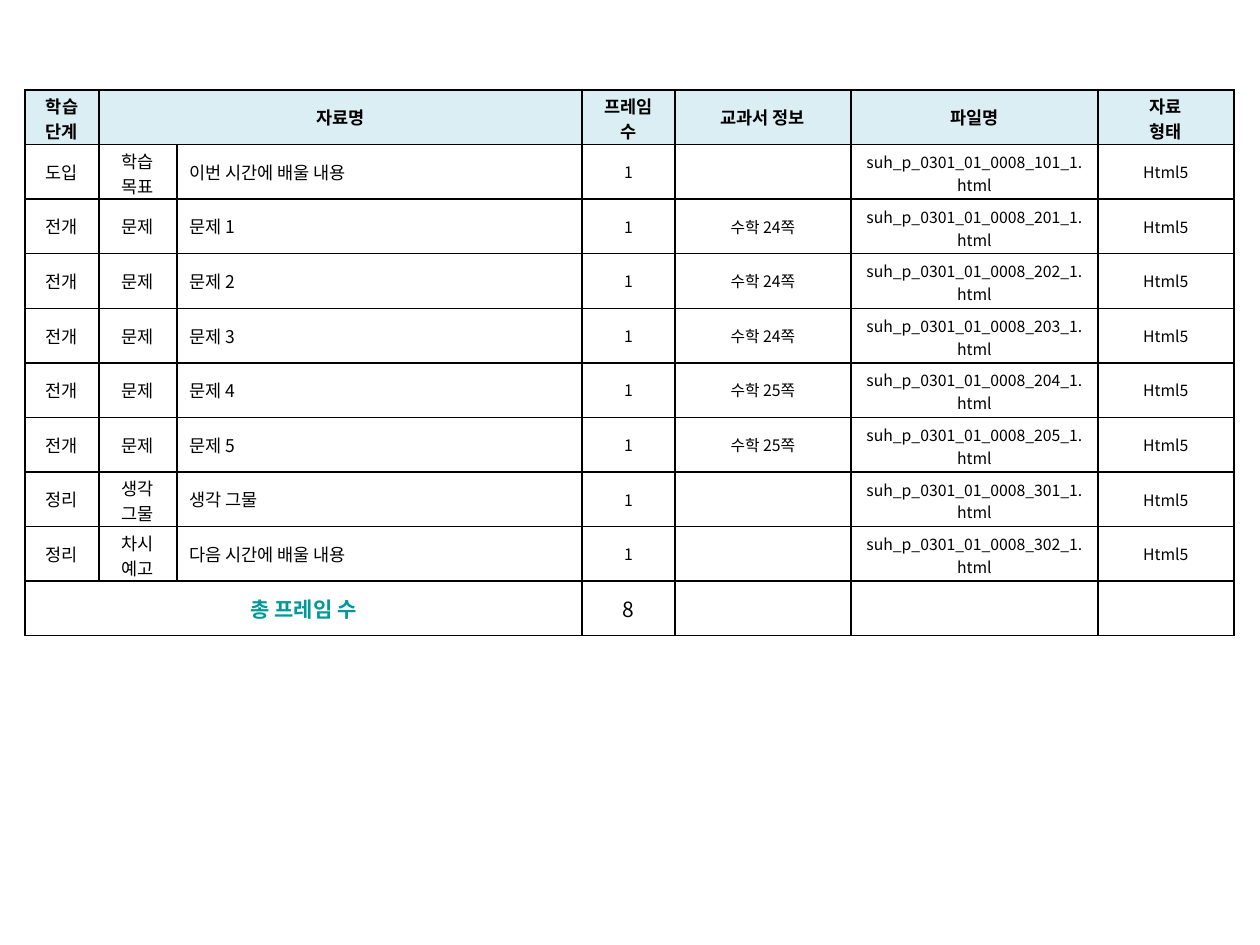
from lxml import etree
from pptx import Presentation
from pptx import util as u
from pptx.dml.color import RGBColor
from pptx.enum import text
from pptx.oxml.ns import qn

PX = 914400 // 126
FONT = "Noto Sans CJK KR"
COLORS = {"ink": "000000", "header": "DBEEF4", "total": "009999"}
COLUMN_WIDTHS = [74, 78, 405, 93, 176, 247, 136]
TABLE_LEFT, TABLE_TOP, TABLE_HEIGHT = 25, 90, 546
NAME_COLUMN, FRAME_COLUMN, FILE_COLUMN = 2, 3, 5

HEADER = ["학습 단계", "자료명", "", "프레임 수", "교과서 정보", "파일명", "자료\n형태"]
# stage, section, material, textbook page, file number
MATERIALS = [
    ("도입", "학습\n목표", "이번 시간에 배울 내용", "", 101),
    ("전개", "문제", "문제 1", "수학 24쪽", 201),
    ("전개", "문제", "문제 2", "수학 24쪽", 202),
    ("전개", "문제", "문제 3", "수학 24쪽", 203),
    ("전개", "문제", "문제 4", "수학 25쪽", 204),
    ("전개", "문제", "문제 5", "수학 25쪽", 205),
    ("정리", "생각\n그물", "생각 그물", "", 301),
    ("정리", "차시 예고", "다음 시간에 배울 내용", "", 302),
]
TOTAL = ["총 프레임 수", "", "", str(len(MATERIALS)), "", "", ""]
TWO_LINE = {"학습 단계", "프레임 수", "차시 예고"}

rows = [HEADER]
for stage, section, material, page, number in MATERIALS:
    rows.append([stage, section, material, "1", page,
                 f"suh_p_0301_01_0008_{number}_1.html", "Html5"])
rows.append(TOTAL)
last = len(rows) - 1


def add_borders(cell):
    properties = cell._tc.get_or_add_tcPr()
    for index, side in enumerate(("lnL", "lnR", "lnT", "lnB")):
        line = etree.Element(qn(f"a:{side}"), w=str(u.Pt(1)))
        fill = etree.SubElement(line, qn("a:solidFill"))
        etree.SubElement(fill, qn("a:srgbClr"), val=COLORS["ink"])
        properties.insert(index, line)


def text_format(row, column):
    """Return size, weight and colour for a table position."""
    if row == 0:
        return {"size": u.Pt(10), "bold": True}, "ink"
    if row == last:
        is_label = column == 0
        return {"size": u.Pt(12), "bold": is_label}, "total" if is_label else "ink"
    return {"size": u.Pt(10 if column < FRAME_COLUMN else 9), "bold": False}, "ink"


def write_cell(cell, words, row, column):
    cell.vertical_anchor = text.MSO_ANCHOR.MIDDLE
    is_file = column == FILE_COLUMN and 0 < row < last
    if "\n" in words or words in TWO_LINE or is_file:
        # two lines only just fit the row height
        cell.margin_top, cell.margin_bottom = 3 * PX, 0
    cell.text_frame.text = words
    values, color = text_format(row, column)
    left_aligned = column == NAME_COLUMN and 0 < row < last
    for paragraph in cell.text_frame.paragraphs:
        paragraph.alignment = text.PP_ALIGN.LEFT if left_aligned else text.PP_ALIGN.CENTER
        for run in paragraph.runs:
            for key, value in {"name": FONT, **values}.items():
                setattr(run.font, key, value)
            run.font.color.rgb = RGBColor.from_string(COLORS[color])
            etree.SubElement(run._r.get_or_add_rPr(), qn("a:ea"), typeface=FONT)


deck = Presentation()
deck.slide_width, deck.slide_height = 1260 * PX, 945 * PX
slide = deck.slides.add_slide(deck.slide_layouts[6])
table = slide.shapes.add_table(
    len(rows), len(COLUMN_WIDTHS), TABLE_LEFT * PX, TABLE_TOP * PX,
    sum(COLUMN_WIDTHS) * PX, TABLE_HEIGHT * PX).table
table.first_row = table.horz_banding = False
for column, width in zip(table.columns, COLUMN_WIDTHS):
    column.width = width * PX
for table_row in table.rows:
    table_row.height = TABLE_HEIGHT * PX // len(rows)

for r, row_words in enumerate(rows):
    for c, words in enumerate(row_words):
        cell = table.cell(r, c)
        if r == 0:
            cell.fill.solid()
            cell.fill.fore_color.rgb = RGBColor.from_string(COLORS["header"])
        else:
            cell.fill.background()
        add_borders(cell)
        if words:
            write_cell(cell, words, r, c)

table.cell(0, 1).merge(table.cell(0, NAME_COLUMN))
table.cell(last, 0).merge(table.cell(last, NAME_COLUMN))
deck.save("out.pptx")
